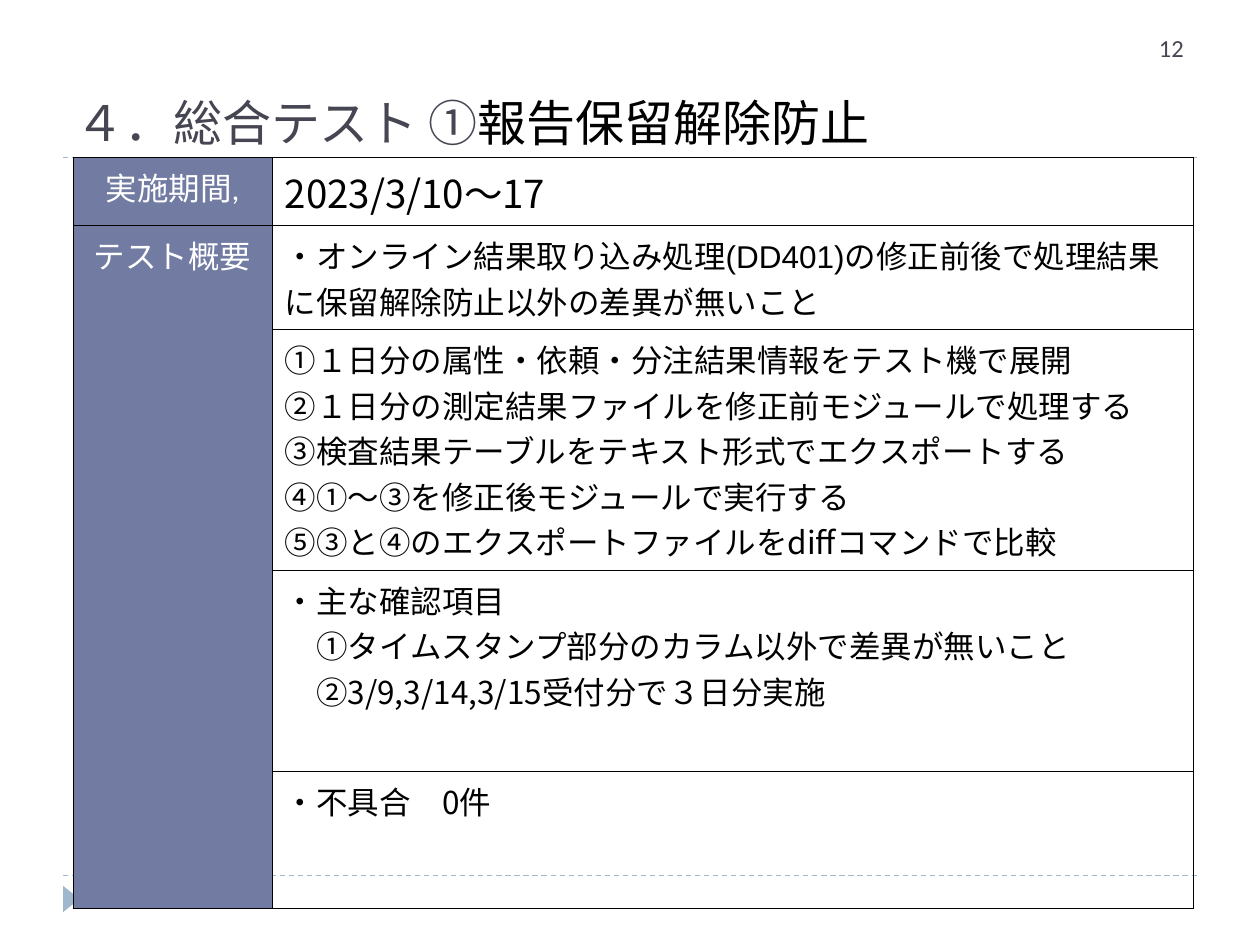
from dataclasses import dataclass

from lxml import etree
from pptx import Presentation
from pptx.dml.color import RGBColor
from pptx.enum.dml import MSO_LINE_DASH_STYLE as Dash
from pptx.enum.shapes import MSO_CONNECTOR as Conn, MSO_SHAPE as Shape
from pptx.enum.text import MSO_ANCHOR as Anchor, PP_ALIGN as Align
from pptx.oxml.ns import qn
from pptx.util import Inches, Pt

COLORS = {"accent": "9FB8CD", "label": "727CA3", "heading": "464653",
          "black": "000000", "white": "FFFFFF"}
CJK = "Noto Sans CJK JP"


@dataclass
class Line:
    text: str
    font: str = CJK
    size: float = 18
    indent: float = 0


@dataclass
class Row:
    height: float
    lines: list[Line]
    label: str = ""


ROWS = [
    Row(0.47, [Line("2023/3/10～17", size=22)], "実施期間,"),
    Row(0.7, [Line("・オンライン結果取り込み処理(DD401)の修正前後で処理結果"
                   "に保留解除防止以外の差異が無いこと", font="Arial")], "テスト概要"),
    Row(1.9, [Line("①１日分の属性・依頼・分注結果情報をテスト機で展開"),
              Line("②１日分の測定結果ファイルを修正前モジュールで処理する"),
              Line("③検査結果テーブルをテキスト形式でエクスポートする"),
              Line("④①～③を修正後モジュールで実行する"),
              Line("⑤③と④のエクスポートファイルをdiffコマンドで比較")]),
    Row(1.6, [Line("・主な確認項目"),
              Line("①タイムスタンプ部分のカラム以外で差異が無いこと", indent=0.25),
              Line("②3/9,3/14,3/15受付分で３日分実施", indent=0.25)]),
    Row(1.08, [Line("・不具合　0件")]),
]


def rgb(name: str) -> RGBColor:
    return RGBColor.from_string(COLORS[name])


def add_text(p, text: str, *, font: str = CJK, size: float = 18,
             color: str = "black", align=Align.LEFT, indent: float = 0) -> None:
    p.alignment = align
    if indent:
        p._p.get_or_add_pPr().set("marL", str(Inches(indent)))
    r = p.add_run()
    r.text = text
    r.font.name, r.font.size = font, Pt(size)
    r.font.color.rgb = rgb(color)
    etree.SubElement(r._r.get_or_add_rPr(), qn("a:ea"), typeface=CJK)


def add_box(s, left: float, top: float, width: float, height: float, anchor=Anchor.TOP):
    tf = s.shapes.add_textbox(Inches(left), Inches(top), Inches(width), Inches(height)).text_frame
    tf.word_wrap = True
    tf.vertical_anchor = anchor
    return tf.paragraphs[0]


def add_rule(s, y: float) -> None:
    line = s.shapes.add_connector(Conn.STRAIGHT, Inches(0.5), Inches(y), Inches(9.5), Inches(y))
    line.line.color.rgb = rgb("accent")
    line.line.width = Pt(0.74)
    line.line.dash_style = Dash.DASH
    etree.SubElement(line._element.spPr, qn("a:effectLst"))


def set_borders(cell) -> None:
    tc_pr = cell._tc.get_or_add_tcPr()
    for i, side in enumerate("LRTB"):
        ln = etree.Element(qn(f"a:ln{side}"), w=str(Pt(0.45)))
        fill = etree.SubElement(ln, qn("a:solidFill"))
        etree.SubElement(fill, qn("a:srgbClr"), val=COLORS["black"])
        tc_pr.insert(i, ln)


def add_table(s) -> None:
    table = s.shapes.add_table(len(ROWS), 2, Inches(0.58), Inches(1.25),
                               Inches(8.89), Inches(sum(r.height for r in ROWS))).table
    table.first_row = table.horz_banding = False
    for col, width in zip(table.columns, (1.58, 7.31)):
        col.width = Inches(width)
    for i, row in enumerate(ROWS):
        table.rows[i].height = Inches(row.height)
        label, body = table.cell(i, 0), table.cell(i, 1)
        label.fill.solid()
        label.fill.fore_color.rgb = rgb("label")
        body.fill.background()
        set_borders(label)
        set_borders(body)
        if row.label:
            add_text(label.text_frame.paragraphs[0], row.label, font="Calibri",
                     color="white", align=Align.CENTER)
        tf = body.text_frame
        for j, line in enumerate(row.lines):
            p = tf.add_paragraph() if j else tf.paragraphs[0]
            add_text(p, line.text, font=line.font, size=line.size, indent=line.indent)
    table.cell(1, 0).merge(table.cell(len(ROWS) - 1, 0))


prs = Presentation()
prs.slide_width, prs.slide_height = Inches(10), Inches(7.5)
s = prs.slides.add_slide(prs.slide_layouts[6])

# Page decoration
for y in (6.95, 1.25):
    add_rule(s, y)
sp = s.shapes.add_shape(Shape.ISOSCELES_TRIANGLE, Inches(0.46), Inches(7.07),
                        Inches(0.21), Inches(0.13))
sp.rotation = 90
sp.shadow.inherit = False
sp.fill.solid()
sp.fill.fore_color.rgb = rgb("accent")
sp.line.fill.background()

# Test summary
add_table(s)

# Title and page number
p = add_box(s, 0.5, 0.25, 9, 1, Anchor.BOTTOM)
add_text(p, "４．総合テスト ①", size=28, color="heading")
add_text(p, "報告保留解除防止", font="Arial", size=28)
add_text(add_box(s, 9.1, 0.21, 1.33, 0.4), "12", font="Calibri", size=14, color="heading")

prs.save("out.pptx")
